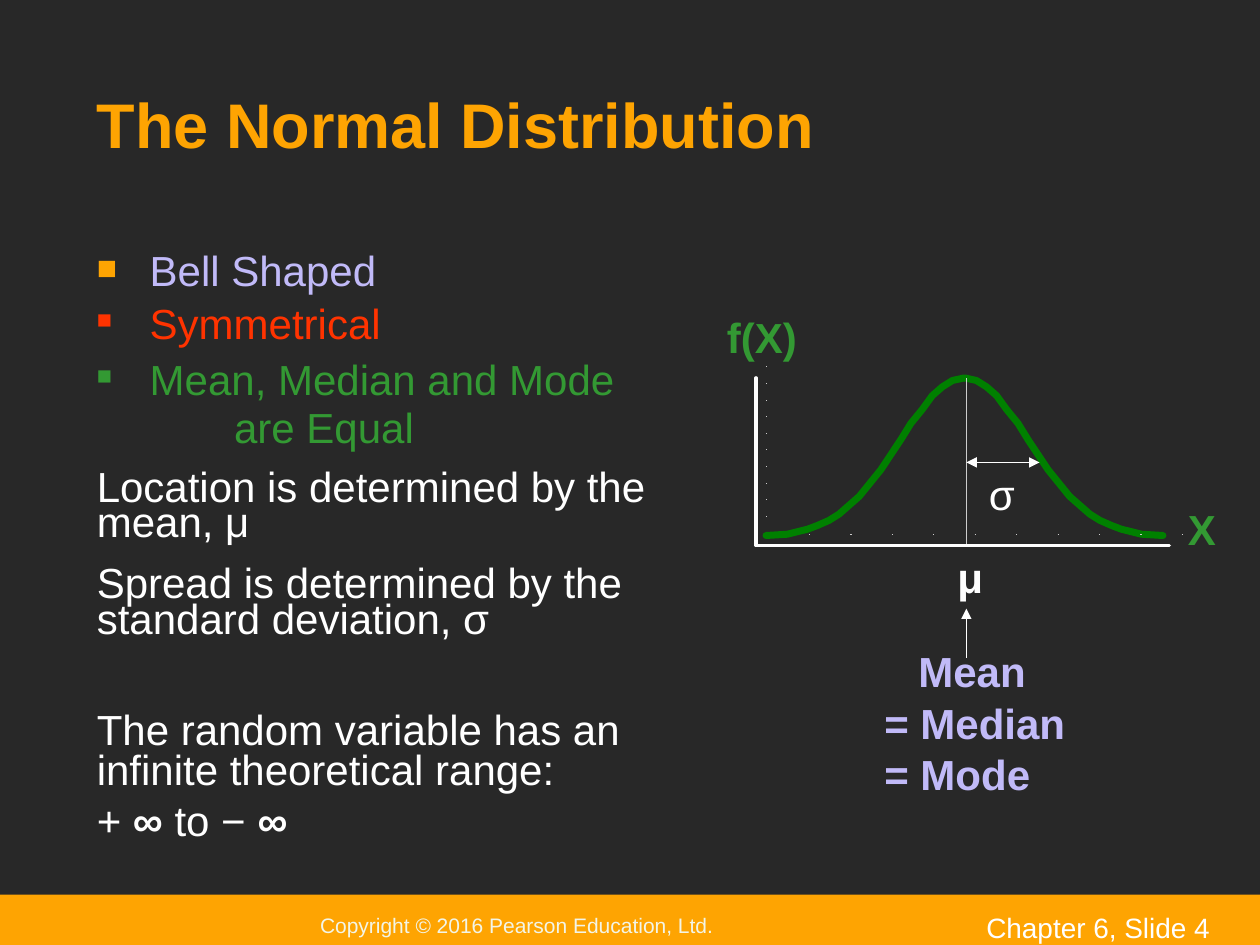
import pptx
import pptx.util
import pptx.dml.color
import pptx.enum.shapes
import pptx.enum.text
import pptx.oxml.ns
import lxml.etree

Inches, Pt = pptx.util.Inches, pptx.util.Pt
RGB = pptx.dml.color.RGBColor
qn = pptx.oxml.ns.qn
ANCHOR = pptx.enum.text.MSO_ANCHOR

BACKGROUND = RGB(0x28, 0x28, 0x28)
ORANGE = RGB(0xFE, 0xA4, 0x02)
LILAC = RGB(0xC1, 0xBA, 0xF8)
RED = RGB(0xFF, 0x33, 0x00)
GREEN = RGB(0x33, 0x99, 0x33)
CURVE_GREEN = RGB(0x00, 0x80, 0x00)
WHITE = RGB(0xFF, 0xFF, 0xFF)
GREY = RGB(0xCD, 0xCD, 0xCD)
PALE = RGB(0xF3, 0xF5, 0xE7)

deck = pptx.Presentation()
deck.slide_width, deck.slide_height = Inches(10), Inches(7.5)
slide = deck.slides.add_slide(deck.slide_layouts[6])
slide.background.fill.solid()
slide.background.fill.fore_color.rgb = BACKGROUND


def write(frame, content, color, size=24, bold=False, spacing=None, before=0,
          indent=0, bullet_size=None, bullet_color=None):
    """Add a paragraph; content is a string or a list of (text, bold) runs."""
    paragraph = frame.paragraphs[0] if not frame.text else frame.add_paragraph()
    properties = paragraph._p.get_or_add_pPr()
    if indent:
        properties.set("marL", str(Inches(indent)))
    if bullet_size:
        properties.set("indent", str(-Inches(indent)))
        bullet_fill = lxml.etree.SubElement(properties, qn("a:buClr"))
        lxml.etree.SubElement(bullet_fill, qn("a:srgbClr"), val=str(bullet_color or color))
        lxml.etree.SubElement(properties, qn("a:buSzPct"), val=str(bullet_size * 1000))
        lxml.etree.SubElement(properties, qn("a:buFont"), typeface="Arial")
        lxml.etree.SubElement(properties, qn("a:buChar"), char="■")
    if spacing:
        paragraph.line_spacing = spacing
    paragraph.space_before = Pt(before)
    paragraph.alignment = pptx.enum.text.PP_ALIGN.LEFT
    for text, is_bold in [(content, bold)] if isinstance(content, str) else content:
        run = paragraph.add_run()
        run.text = text
        run.font.name, run.font.size, run.font.bold = "Arial", Pt(size), is_bold
        run.font.color.rgb = color


def draw_line(points, color, width, head=False, tail=False):
    """Draw a connector for two points, an open outline for more."""
    points = [(Inches(x), Inches(y)) for x, y in points]
    if len(points) == 2:
        line = slide.shapes.add_connector(
            pptx.enum.shapes.MSO_CONNECTOR.STRAIGHT, *points[0], *points[1])
    else:
        builder = slide.shapes.build_freeform(*points[0], scale=1.0)
        builder.add_line_segments(points[1:], close=False)
        line = builder.convert_to_shape()
        line.fill.background()
    line.line.color.rgb = color
    line.line.width = Pt(width)
    stroke = line.line._get_or_add_ln()
    if len(points) > 2:
        stroke.set("cap", "rnd")
        lxml.etree.SubElement(stroke, qn("a:round"))
    for end, wanted in (("a:headEnd", head), ("a:tailEnd", tail)):
        if wanted:
            lxml.etree.SubElement(stroke, qn(end), type="triangle")
    lxml.etree.SubElement(line._element.spPr, qn("a:effectLst"))


# Footer band with copyright line
footer = slide.shapes.add_shape(pptx.enum.shapes.MSO_SHAPE.RECTANGLE,
                                Inches(0), Inches(7.1), Inches(10), Inches(0.49))
footer.shadow.inherit = False
footer.fill.solid()
footer.fill.fore_color.rgb = ORANGE
footer.line.fill.background()
copyright_frame = footer.text_frame
copyright_frame.vertical_anchor = ANCHOR.MIDDLE
copyright_frame.margin_left = Inches(2.54)
copyright_frame.margin_top = copyright_frame.margin_bottom = 0
write(copyright_frame, "Copyright © 2016 Pearson Education, Ltd.", PALE, size=12)

# Single-line texts: text, position, anchor, format
labels = [
    ("Chapter 6, Slide 4", (7.73, 7.18, 2.33, 0.26), ANCHOR.TOP, dict(color=WHITE, size=16)),
    ("The Normal Distribution", (0.67, 0.25, 8.67, 1.08), ANCHOR.BOTTOM,
     dict(color=ORANGE, size=36, bold=True)),
    ("X", (9.33, 3.95, 0.42, 0.5), ANCHOR.TOP, dict(color=GREEN, bold=True)),
    ("f(X)", (5.67, 2.42, 0.75, 0.5), ANCHOR.TOP, dict(color=GREEN, bold=True)),
    ("μ", (7.5, 4.33, 0.51, 0.5), ANCHOR.TOP, dict(color=WHITE, bold=True)),
    ("σ", (7.75, 3.67, 0.5, 0.5), ANCHOR.TOP, dict(color=WHITE)),
]
for text, place, anchor, style in labels:
    label = slide.shapes.add_textbox(*map(Inches, place)).text_frame
    label.word_wrap = True
    label.margin_right = 0
    label.vertical_anchor = anchor
    write(label, text, **style)

# Properties of the distribution
properties_frame = slide.shapes.add_textbox(
    Inches(0.67), Inches(2), Inches(5), Inches(4.96)).text_frame
properties_frame.word_wrap = True
write(properties_frame, "Bell Shaped", LILAC, spacing=0.7, indent=0.42,
      bullet_size=80, bullet_color=ORANGE)
write(properties_frame, "Symmetrical", RED, spacing=0.5, before=15, indent=0.42,
      bullet_size=60)
write(properties_frame, "Mean, Median and Mode", GREEN, spacing=0.6, before=15,
      indent=0.42, bullet_size=60)
write(properties_frame, "are Equal", GREEN, spacing=0.4, before=15, indent=1.09)
for content, spacing, before in [
    ("Location is determined by the mean, μ", 0.7, 15),
    ("Spread is determined by the standard deviation, σ", 0.7, 15),
    ("The random variable has an infinite theoretical range:", 0.8, 41),
    ([("+ ", False), ("∞", True), (" to − ", False), ("∞", True)], 0.4, 15),
]:
    write(properties_frame, content, WHITE, spacing=spacing, before=before)

# Equal measures of centre
centre_frame = slide.shapes.add_textbox(
    Inches(6.92), Inches(5.25), Inches(1.68), Inches(1.11)).text_frame
centre_frame.word_wrap = True
for text, before, indent in [("Mean", 0, 0.27), ("= Median", 15, 0), ("= Mode", 15, 0)]:
    write(centre_frame, text, LILAC, bold=True, spacing=0.5, before=before, indent=indent)

# Bell curve: left half and its mirror
left_half = [(6.08, 4.25), (6.25, 4.24), (6.33, 4.22), (6.41, 4.2), (6.49, 4.17),
             (6.58, 4.13), (6.66, 4.08), (6.82, 3.94), (6.99, 3.73), (7.15, 3.49),
             (7.23, 3.36), (7.32, 3.25), (7.4, 3.14), (7.48, 3.07), (7.56, 3.02),
             (7.65, 3)]
MIRROR_SUM = 15.31
draw_line([(MIRROR_SUM - x, y) for x, y in left_half], CURVE_GREEN, 4)
draw_line(left_half, CURVE_GREEN, 4)

# Mean line and axes
MEAN_X = 7.67
draw_line([(MEAN_X, 3), (MEAN_X, 4.33)], GREY, 1)
draw_line([(6, 3), (6, 4.33), (9.28, 4.33)], WHITE, 2)

# Faint dots along both axes
for i in range(10):
    for x, y in [(6.08, 2.91 + i * 1.19 / 9), (6.42 + i * 2.96 / 9, 4.24)]:
        draw_line([(x, y), (x + 0.01, y)], GREY, 0.5)

# Arrows: mean pointer and one standard deviation
draw_line([(MEAN_X, 4.83), (MEAN_X, 5.22)], WHITE, 1, head=True)
draw_line([(8.25, 3.67), (MEAN_X, 3.67)], WHITE, 1, head=True, tail=True)

deck.save("out.pptx")
